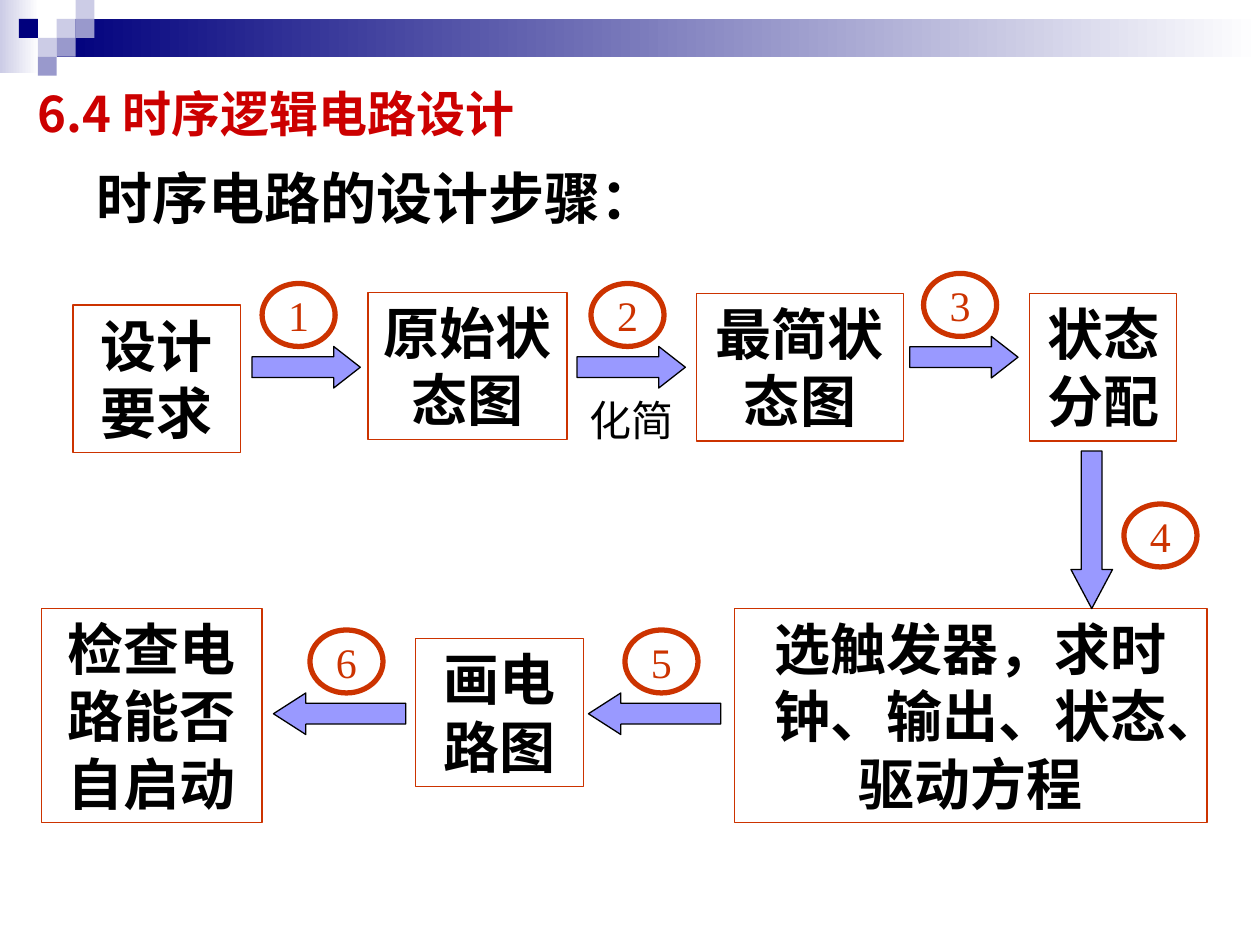
from lxml import etree
from pptx import Presentation
from pptx.dml.color import RGBColor
from pptx.enum.shapes import MSO_SHAPE
from pptx.enum.text import MSO_ANCHOR, MSO_AUTO_SIZE, PP_ALIGN
from pptx.oxml.ns import qn
from pptx.util import Inches, Pt

RECT, OVAL = MSO_SHAPE.RECTANGLE, MSO_SHAPE.OVAL
RIGHT, LEFT, DOWN = MSO_SHAPE.RIGHT_ARROW, MSO_SHAPE.LEFT_ARROW, MSO_SHAPE.DOWN_ARROW
TOP, MIDDLE = MSO_ANCHOR.TOP, MSO_ANCHOR.MIDDLE
ALIGN_LEFT, CENTER = PP_ALIGN.LEFT, PP_ALIGN.CENTER

SERIF, SANS = "Times New Roman", "Noto Sans CJK SC"
NAVY, LILAC, PALE, WHITE = "00007D", "9999CC", "CCCCE6", "FFFFFF"
ARROW_FILL, OUTLINE, TITLE_RED, BLACK = "9999FF", "CC3300", "CC0000", "000000"

TITLE = "6.4 时序逻辑电路设计"
SUBTITLE = "时序电路的设计步骤："
SIMPLIFY = "化简"

# Gradient bands: left, top, width, height, start colour
BANDS = [(0, 0, 0.31, 0.58, PALE), (0.45, 0.15, 9.55, 0.3, NAVY)]
# Mosaic tiles: column, row, colour
TILE = 0.15
TILES = [(3, 1, PALE), (4, 0, PALE), (4, 1, LILAC), (2, 2, PALE),
         (1, 1, NAVY), (3, 2, LILAC), (2, 3, LILAC)]

# Stages: text, left, top, width, height
TWO_LINES, THREE_LINES = 1.17, 1.7
STAGES = [
    ("设计要求", 0.58, 2.42, 1.33, TWO_LINES),
    ("原始状态图", 2.92, 2.32, 1.58, TWO_LINES),
    ("最简状态图", 5.53, 2.33, 1.64, TWO_LINES),
    ("状态分配", 8.17, 2.33, 1.17, TWO_LINES),
    ("选触发器，求时钟、输出、状态、驱动方程", 5.83, 4.83, 3.75, THREE_LINES),
    ("画电路图", 3.3, 5.07, 1.33, TWO_LINES),
    ("检查电路能否自启动", 0.33, 4.83, 1.75, THREE_LINES),
]

# Arrow sizes: width, height, head length relative to thickness
ARROW_SIZES = {RIGHT: (0.86, 0.33, 0.64), DOWN: (0.33, 1.25, 0.94), LEFT: (1.05, 0.33, 0.78)}
BADGE_W, BADGE_H = 0.58, 0.5
# Steps in order: arrow kind, arrow left and top, badge left and top
STEPS = [
    (RIGHT, 2, 2.75, 2.08, 2.25),
    (RIGHT, 4.58, 2.75, 4.69, 2.25),
    (RIGHT, 7.22, 2.67, 7.33, 2.17),
    (DOWN, 8.5, 3.58, 8.92, 4),
    (LEFT, 4.67, 5.5, 4.96, 5),
    (LEFT, 2.17, 5.5, 2.46, 5),
]


def rgb(value):
    return RGBColor.from_string(value)


def add_shape(slide, kind, box, fill=None, line=None, line_width=0.75):
    shape = slide.shapes.add_shape(kind, *map(Inches, box))
    shape.shadow.inherit = False
    if fill:
        shape.fill.solid()
        shape.fill.fore_color.rgb = rgb(fill)
    else:
        shape.fill.background()
    if line:
        shape.line.color.rgb = rgb(line)
        shape.line.width = Pt(line_width)
    else:
        shape.line.fill.background()
    return shape


def write(shape, text, size, color=BLACK, bold=False, align=ALIGN_LEFT,
          anchor=TOP, font=SERIF, wrap=True):
    frame = shape.text_frame
    frame.auto_size = MSO_AUTO_SIZE.NONE
    frame.word_wrap = wrap
    frame.vertical_anchor = anchor
    paragraph = frame.paragraphs[0]
    paragraph.alignment = align
    run = paragraph.add_run()
    run.text = text
    run.font.size = Pt(size)
    run.font.bold = bold
    run.font.color.rgb = rgb(color)
    run.font.name = font
    east_asian = etree.Element(qn("a:ea"), typeface=SANS)
    run.font._element.find(qn("a:latin")).addnext(east_asian)
    return paragraph


def add_label(slide, text, box, size, bold=False):
    write(slide.shapes.add_textbox(*map(Inches, box)), text, size, bold=bold)


def add_header(slide):
    for *box, start in BANDS:
        band = add_shape(slide, RECT, box)
        band.fill.gradient()
        band.fill.gradient_angle = 0
        for stop, color in zip(band.fill.gradient_stops, (start, WHITE)):
            stop.color.rgb = rgb(color)
    for column, row, color in TILES:
        add_shape(slide, RECT, (column * TILE, row * TILE, TILE, TILE), color)

    title = slide.shapes.title
    title.left, title.top, title.width, title.height = map(Inches, (0.2, 0.52, 4.57, 0.66))
    write(title, TITLE, 28, TITLE_RED, True, font=SANS).line_spacing = 1.2
    add_label(slide, SUBTITLE, (0.67, 1.25, 4.96, 0.64), 32, True)


def add_flow(slide):
    for text, *box in STAGES:
        stage = add_shape(slide, RECT, box, line=OUTLINE)
        write(stage, text, 32, bold=True, align=CENTER)
    for number, (kind, left, top, badge_left, badge_top) in enumerate(STEPS, 1):
        width, height, head = ARROW_SIZES[kind]
        arrow = add_shape(slide, kind, (left, top, width, height), ARROW_FILL, BLACK)
        arrow.adjustments[0] = 0.5
        arrow.adjustments[1] = head
        badge = add_shape(slide, OVAL, (badge_left, badge_top, BADGE_W, BADGE_H),
                          line=OUTLINE, line_width=3)
        write(badge, str(number), 24, OUTLINE, align=CENTER, anchor=MIDDLE, wrap=False)
    add_label(slide, SIMPLIFY, (4.58, 3.08, 0.92, 0.5), 24)


def main():
    deck = Presentation()
    deck.slide_width, deck.slide_height = Inches(10), Inches(7.5)
    slide = deck.slides.add_slide(deck.slide_layouts.get_by_name("Title Only"))
    add_header(slide)
    add_flow(slide)
    deck.save("out.pptx")


if __name__ == "__main__":
    main()
